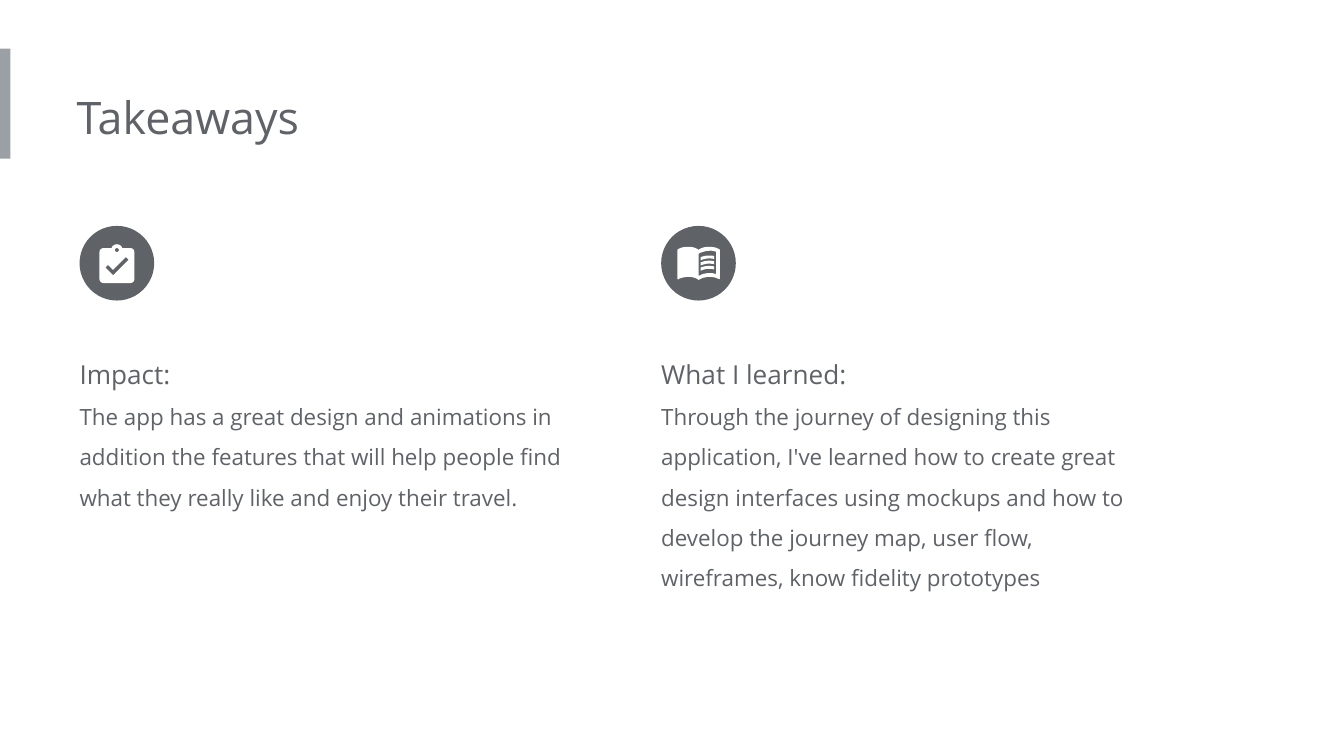
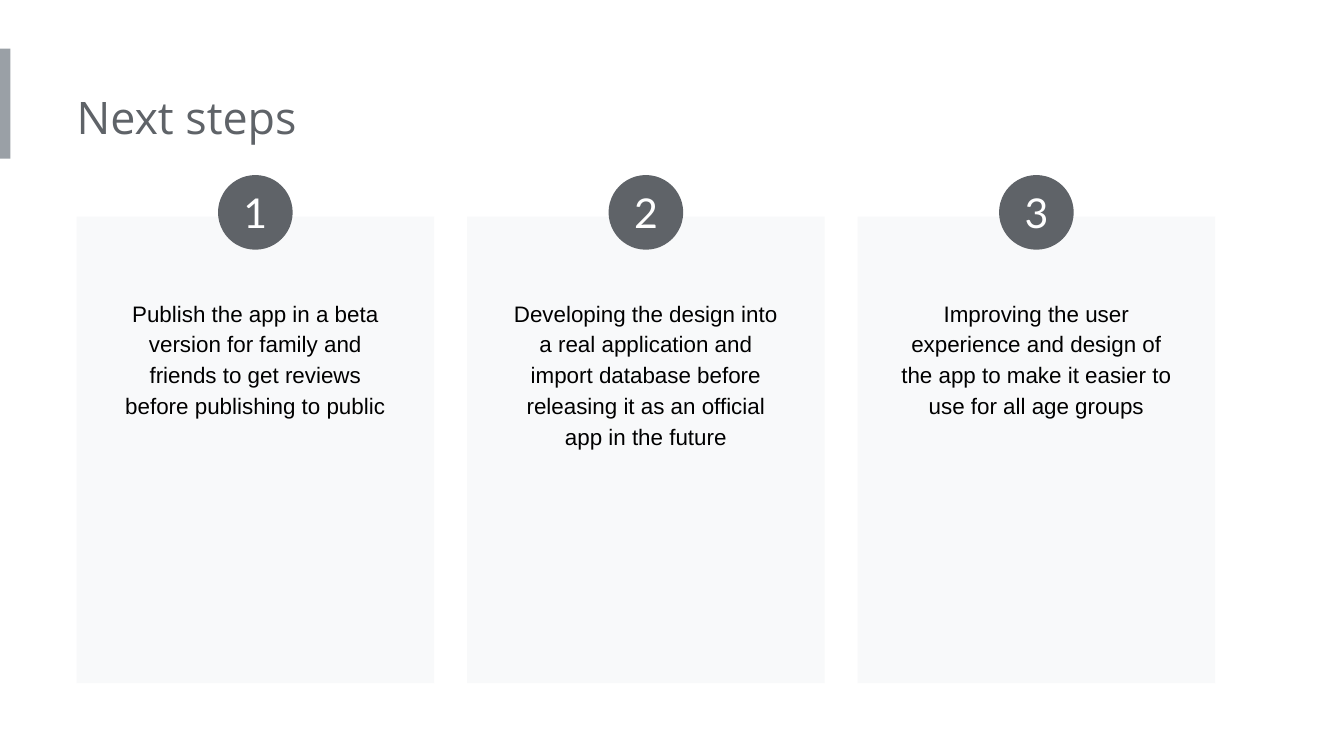
from lxml.etree import SubElement
from pptx import Presentation
from pptx.dml.color import RGBColor
from pptx.enum.shapes import MSO_SHAPE
from pptx.enum.text import MSO_ANCHOR, MSO_AUTO_SIZE, PP_ALIGN
from pptx.oxml.ns import qn
from pptx.util import Pt

# Colours
SLATE = RGBColor(0x5F, 0x63, 0x68)
STEEL = RGBColor(0x9A, 0xA0, 0xA6)
MIST = RGBColor(0xF8, 0xF9, 0xFA)
WHITE = RGBColor(0xFF, 0xFF, 0xFF)
BLACK = RGBColor(0, 0, 0)

# Text formats: font name, size, colour
TITLE = ("Open Sans", 24, SLATE)
HEAD = ("Open Sans", 14, SLATE)
BODY = ("Open Sans", 12, SLATE)
NOTE = ("Arial", 12, BLACK)
DIGIT = ("Lato", 22, WHITE)

# Frame formats
FLUSH = dict(margin_left=0, margin_right=Pt(7.2), margin_top=Pt(7.2),
             margin_bottom=Pt(7.2), word_wrap=True,
             vertical_anchor=MSO_ANCHOR.TOP,
             auto_size=MSO_AUTO_SIZE.SHAPE_TO_FIT_TEXT)
INSET = {**FLUSH, "margin_left": Pt(7.2)}
TIGHT = dict(margin_left=0, margin_right=0, margin_top=0, margin_bottom=0,
             vertical_anchor=MSO_ANCHOR.MIDDLE)

# Paragraph formats
PLAIN = dict(alignment=PP_ALIGN.LEFT, line_spacing=1.0, space_before=Pt(0))
LOOSE = {**PLAIN, "line_spacing": 1.5}
MID = {**PLAIN, "alignment": PP_ALIGN.CENTER}
MID_LOOSE = {**MID, "line_spacing": 1.15}

# Icons on a 240-unit grid: two numbers make a point, six a cubic curve
DOT = 40
GRID = 0.104
CLIP = [
    [(190, 30), (148, 30), (144, 18, 133, 10, 120, 10),
     (107, 10, 96, 18, 92, 30), (50, 30), (39, 30, 30, 39, 30, 50),
     (30, 190), (30, 201, 39, 210, 50, 210), (190, 210),
     (201, 210, 210, 201, 210, 190), (210, 50),
     (210, 39, 201, 30, 190, 30)],
    [(120, 30), (126, 30, 130, 34, 130, 40), (130, 46, 126, 50, 120, 50),
     (114, 50, 110, 46, 110, 40), (110, 34, 114, 30, 120, 30)],
    [(100, 170), (60, 130), (74, 116), (100, 142), (166, 76), (180, 90)],
]
BOOK = [
    [(210, 50), (199, 46, 187, 45, 175, 45), (156, 45, 134, 49, 120, 60),
     (106, 49, 84, 45, 65, 45), (46, 45, 24, 49, 10, 60), (10, 206),
     (10, 209, 12, 212, 15, 212), (31, 204, 50, 200, 65, 200),
     (84, 200, 106, 204, 120, 215), (134, 206, 158, 200, 175, 200),
     (192, 200, 208, 203, 222, 210), (228, 212, 230, 209, 230, 206),
     (230, 60), (224, 56, 218, 52, 210, 50)],
    [(210, 185), (199, 182, 187, 180, 175, 180),
     (158, 180, 134, 186, 120, 195), (120, 80),
     (134, 72, 158, 65, 175, 65), (187, 65, 199, 66, 210, 70)],
]
LINE = [(175, 105), (184, 105, 192, 106, 200, 108), (200, 92),
        (192, 91, 184, 90, 175, 90), (158, 90, 143, 93, 130, 98),
        (130, 115), (141, 109, 157, 105, 175, 105)]


def apply(item, form):
    for key, value in form.items():
        setattr(item, key, value)


def place(item, box):
    apply(item, dict(zip(("left", "top", "width", "height"), map(Pt, box))))


def write(frame, lines, form, para):
    """Fill a text frame with (text, format) lines."""
    apply(frame, form)
    for i, (text, (name, size, color)) in enumerate(lines):
        par = frame.paragraphs[0] if i == 0 else frame.add_paragraph()
        props = par._p.get_or_add_pPr()
        apply_indent = {"marL": "0", "indent": "0"}
        for key, value in apply_indent.items():
            props.set(key, value)
        SubElement(props, qn("a:buNone"))
        apply(par, para)
        run = par.add_run()
        run.text = text
        apply(run.font, dict(name=name, size=Pt(size), bold=False))
        run.font.color.rgb = color


def paint(shape, color):
    shape.shadow.inherit = False
    shape.fill.solid()
    shape.fill.fore_color.rgb = color
    shape.line.fill.background()
    return shape


def draw(slide, kind, box, color):
    return paint(slide.shapes.add_shape(kind, *map(Pt, box)), color)


def disc(slide, left, top):
    return draw(slide, MSO_SHAPE.OVAL, (left, top, DOT, DOT), SLATE)


def trace(path, steps=6):
    """Turn points and cubic curves into a list of points."""
    dots = []
    for part in path:
        if len(part) == 2:
            dots.append(part)
            continue
        knots = [dots[-1], part[:2], part[2:4], part[4:]]
        for n in range(1, steps + 1):
            t = n / steps
            mix = ((1 - t) ** 3, 3 * t * (1 - t) ** 2,
                   3 * t * t * (1 - t), t ** 3)
            dots.append(tuple(sum(m * k[axis] for m, k in zip(mix, knots))
                              for axis in (0, 1)))
    return dots


def icon(slide, paths, left, top):
    pen = None
    for dots in map(trace, paths):
        if pen is None:
            pen = slide.shapes.build_freeform(*dots[0], scale=Pt(GRID))
        else:
            pen.move_to(*dots[0])
        pen.add_line_segments(dots[1:], close=True)
    paint(pen.convert_to_shape(Pt(left), Pt(top)), WHITE)


def start(deck, layout, title):
    """Add a slide with the side bar and title."""
    slide = deck.slides.add_slide(deck.slide_layouts[layout])
    for hole in list(slide.placeholders):
        if hole.placeholder_format.idx >= 10:
            hole._element.getparent().remove(hole._element)
    draw(slide, MSO_SHAPE.RECTANGLE, (0, 26, 5.6, 59), STEEL)
    place(slide.shapes.title, (41, 41, 388, 44))
    write(slide.shapes.title.text_frame, [(title, TITLE)], FLUSH, PLAIN)
    return slide


def column(slide, hole, left, high, head, text):
    place(hole, (left, 176.4, 271.5, high))
    write(hole.text_frame, [(head, HEAD), (text, BODY)], FLUSH, LOOSE)
    disc(slide, left, 121)


def card(slide, index, high, text):
    left, wide = 41 + index * 209.2, 191.6
    draw(slide, MSO_SHAPE.RECTANGLE, (left, 116, wide, 250), MIST)
    box = (left + 15.2, 151.2, wide - 30.4, high)
    note = slide.shapes.add_textbox(*map(Pt, box))
    write(note.text_frame, [(text, NOTE)], INSET, MID_LOOSE)
    dot = disc(slide, left + (wide - DOT) / 2, 93.8)
    write(dot.text_frame, [(str(index + 1), DIGIT)], TIGHT, MID)


def main():
    deck = Presentation()
    deck.slide_width, deck.slide_height = Pt(720), Pt(405)

    # Takeaways
    slide = start(deck, 3, "Takeaways")
    first, second = slide.placeholders[1], slide.placeholders[2]
    column(slide, first, 42.6, 105, "Impact:",
           "The app has a great design and animations in addition the "
           "features that will help people find what they really like and "
           "enjoy their travel.")
    column(slide, second, 354.2, 149, "What I learned:",
           "Through the journey of designing this application, I've learned "
           "how to create great design interfaces using mockups and how to "
           "develop the journey map, user flow, wireframes, know fidelity "
           "prototypes")
    icon(slide, CLIP, 50.2, 129.8)
    icon(slide, BOOK, 361.8, 127.6)
    for row in range(3):
        icon(slide, [LINE], 361.8, 127.6 + row * 2.77)

    # Next steps
    slide = start(deck, 5, "Next steps")
    steps = [
        (81, "Publish the app in a beta version for family and friends to "
             "get reviews before publishing to public"),
        (98, "Developing the design into a real application and import "
             "database before releasing it as an official app in the future"),
        (81, "Improving the user experience and design of the app to make "
             "it easier to use for all age groups"),
    ]
    for index, (high, text) in enumerate(steps):
        card(slide, index, high, text)

    deck.save("out.pptx")


if __name__ == "__main__":
    main()
